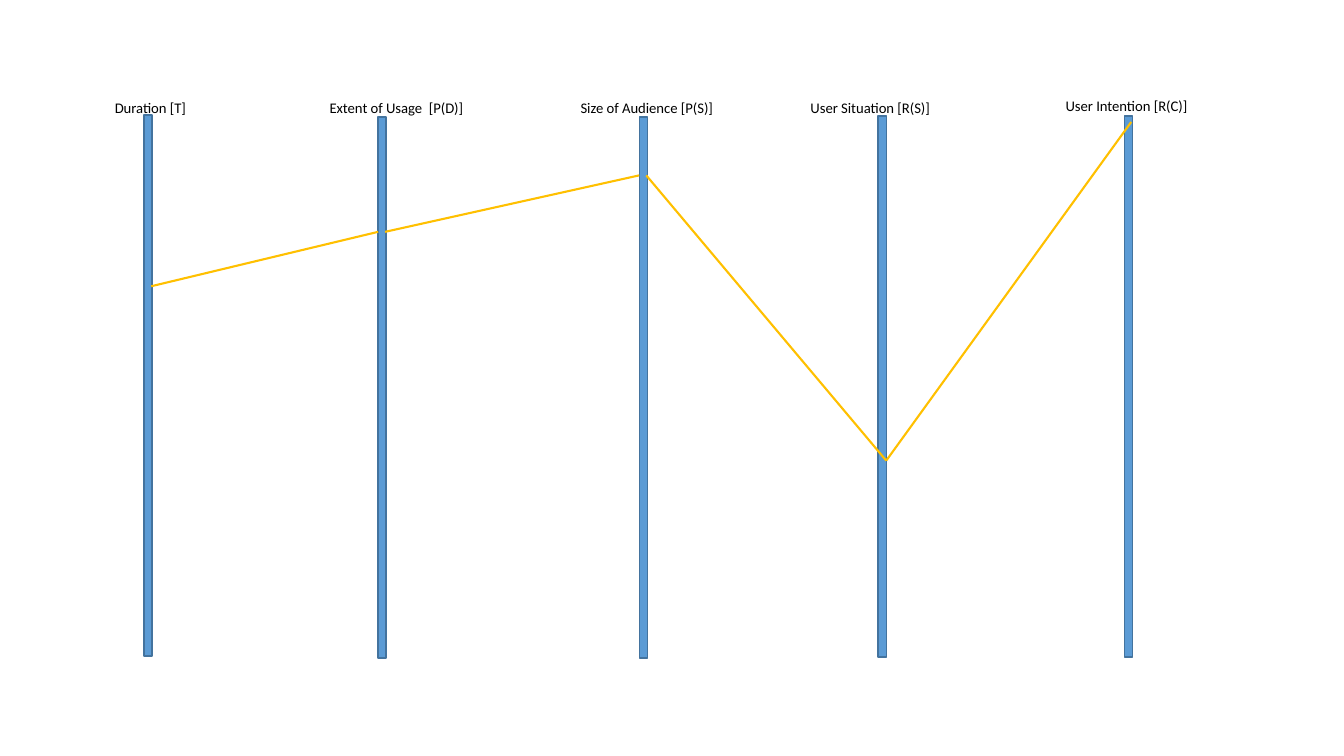
import dataclasses

import pptx
import pptx.dml.color
import pptx.enum.shapes
import pptx.enum.text
import pptx.oxml.ns
import pptx.util
from lxml import etree

PX = 9144  # EMU per px, 100 px to the inch
COLORS = {"axis": "5B9BD5", "edge": "43739E", "profile": "FFC000", "text": "000000"}
AXIS_WIDTH, AXIS_HEIGHT, LABEL_HEIGHT = 8, 537, 28


@dataclasses.dataclass(frozen=True)
class Axis:
    label: str
    left: int
    top: int
    label_left: int
    label_top: int
    label_width: int


@dataclasses.dataclass(frozen=True)
class Segment:
    start: tuple[int, int]
    end: tuple[int, int]


AXES = [
    Axis("Duration [T]", 143, 114, 104, 93, 116),
    Axis("Extent of Usage  [P(D)]", 375, 116, 317, 93, 164),
    Axis("Size of Audience [P(S)]", 634, 116, 566, 93, 160),
    Axis("User Situation [R(S)]", 871, 115, 794, 93, 147),
    Axis("User Intention [R(C)]", 1115, 115, 1047, 91, 146),
]
PROFILE = [
    Segment((150, 284), (375, 230)),
    Segment((382, 230), (634, 174)),
    Segment((641, 174), (879, 457)),
    Segment((879, 457), (1122, 121)),
]


def emu(*lengths: int) -> list[pptx.util.Emu]:
    return [pptx.util.Emu(length * PX) for length in lengths]


def color(name: str) -> pptx.dml.color.RGBColor:
    return pptx.dml.color.RGBColor.from_string(COLORS[name])


def apply_format(target, values: dict) -> None:
    for name, value in values.items():
        setattr(target, name, value)


def draw_axis(page, axis: Axis) -> None:
    bar = page.shapes.add_shape(
        pptx.enum.shapes.MSO_SHAPE.RECTANGLE,
        *emu(axis.left, axis.top, AXIS_WIDTH, AXIS_HEIGHT),
    )
    bar.shadow.inherit = False
    bar.fill.solid()
    bar.fill.fore_color.rgb = color("axis")
    bar.line.color.rgb = color("edge")
    bar.line.width = pptx.util.Pt(1)


def draw_label(page, axis: Axis) -> None:
    box = page.shapes.add_textbox(
        *emu(axis.label_left, axis.label_top, axis.label_width, LABEL_HEIGHT)
    )
    apply_format(box.text_frame, {
        "word_wrap": True,
        "auto_size": pptx.enum.text.MSO_AUTO_SIZE.SHAPE_TO_FIT_TEXT,
    })
    span = box.text_frame.paragraphs[0].add_run()
    span.text = axis.label
    apply_format(span.font, {"name": "Calibri", "size": pptx.util.Pt(10.5)})
    span.font.color.rgb = color("text")


def draw_segment(page, segment: Segment) -> None:
    line = page.shapes.add_connector(
        pptx.enum.shapes.MSO_CONNECTOR.STRAIGHT, *emu(*segment.start, *segment.end)
    )
    line.line.color.rgb = color("profile")
    line.line.width = pptx.util.Pt(1.5)
    etree.SubElement(line.element.spPr, pptx.oxml.ns.qn("a:effectLst"))


def main() -> None:
    deck = pptx.Presentation()
    deck.slide_width, deck.slide_height = emu(1333, 750)
    page = deck.slides.add_slide(deck.slide_layouts[6])

    # Parallel axes, then their labels
    for axis in AXES:
        draw_axis(page, axis)
    for axis in AXES:
        draw_label(page, axis)

    # Profile across the axes
    for segment in PROFILE:
        draw_segment(page, segment)

    deck.save("out.pptx")


if __name__ == "__main__":
    main()
